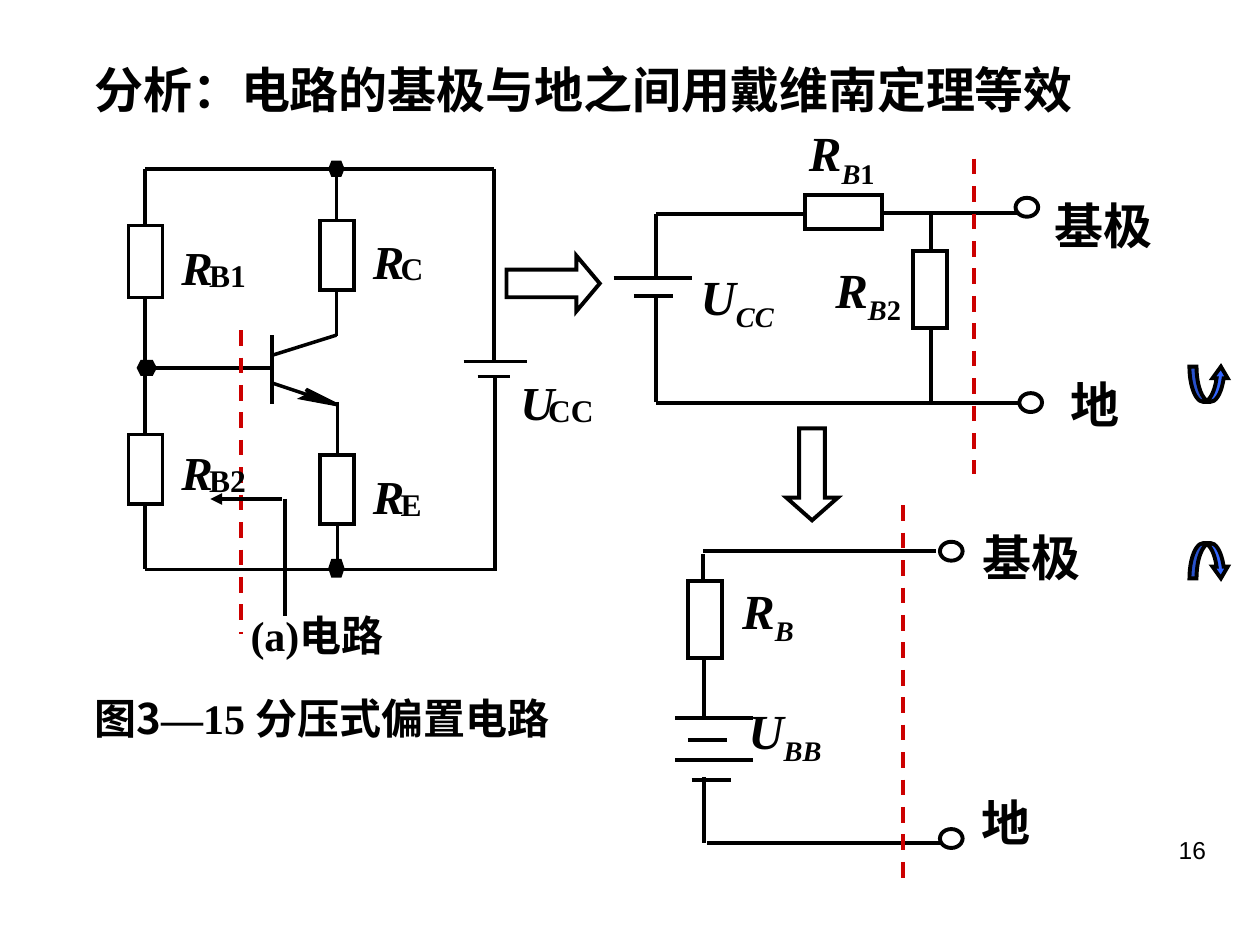
from lxml.etree import SubElement
from pptx import Presentation
from pptx.dml.color import RGBColor
from pptx.enum.dml import MSO_LINE
from pptx.enum.shapes import MSO_CONNECTOR, MSO_SHAPE as Preset
from pptx.enum.text import MSO_ANCHOR, PP_ALIGN
from pptx.oxml.ns import qn
from pptx.util import Cm, Pt

COLORS = {"ink": "000000", "paper": "FFFFFF", "cut": "CC0000", "turn": "3366FF"}
SERIF, SANS, LATIN = "Times New Roman", "Noto Sans CJK SC", "Arial"
THIN, THICK = 2, 2.25

# Wires: x1, y1, x2, y2 in inches
BIAS_WIRES = [
    (2.68, 3.19, 2.68, 4.52), (2.67, 1.34, 2.67, 2.67), (2.15, 2.92, 1.15, 2.92),
    (3.92, 1.34, 1.15, 1.34), (3.92, 4.52, 1.15, 4.52), (1.15, 1.34, 1.15, 4.52),
    (2.16, 2.66, 2.16, 3.21), (2.16, 2.82, 2.67, 2.66), (2.16, 3.04, 2.67, 3.21),
    (3.92, 1.34, 3.92, 2.86), (3.79, 2.99, 4.05, 2.99), (3.68, 2.87, 4.18, 2.87),
    (3.93, 2.99, 3.93, 4.53),
]
DIVIDER_WIRES = [
    (4.87, 2.21, 5.49, 2.21), (5.03, 2.35, 5.34, 2.35), (5.21, 1.7, 6.39, 1.7),
    (5.21, 1.7, 5.21, 2.22), (6.98, 1.69, 8.09, 1.69), (5.21, 2.35, 5.21, 3.19),
    (5.21, 3.2, 8.11, 3.2), (7.39, 1.7, 7.39, 1.98), (7.39, 2.6, 7.39, 3.19),
]
THEVENIN_WIRES = [
    (5.36, 5.7, 5.98, 5.7), (5.36, 6.03, 5.98, 6.03), (5.46, 5.87, 5.77, 5.87),
    (5.49, 6.19, 5.8, 6.19), (5.59, 5.2, 5.59, 5.71), (5.59, 6.17, 5.59, 6.69),
    (5.58, 4.4, 5.58, 4.6), (5.58, 4.37, 7.43, 4.37), (5.61, 6.69, 7.46, 6.69),
]
CUT_LINES = [(1.91, 2.62, 1.91, 5.03), (7.73, 1.26, 7.73, 3.76), (7.17, 4.01, 7.17, 7.02)]
POINTER = [(2.26, 3.96, 2.26, 4.89), (2.24, 3.96, 1.67, 3.96)]

# Resistors: left, top, width, height
BIAS_RESISTORS = [(1.02, 1.79, 0.27, 0.57), (2.54, 1.75, 0.27, 0.55),
                  (2.54, 3.61, 0.27, 0.55), (1.02, 3.45, 0.27, 0.55)]
EQUIVALENT_RESISTORS = [(6.39, 1.55, 0.61, 0.27), (7.25, 1.99, 0.27, 0.61),
                        (5.46, 4.61, 0.27, 0.61)]
TERMINALS = [(8.06, 1.57), (8.09, 3.12), (7.46, 4.3), (7.46, 6.58)]
# Junctions: left, top, width, height
JUNCTIONS = [(2.62, 1.29, 0.1, 0.1), (1.1, 2.87, 0.13, 0.1), (2.62, 4.45, 0.1, 0.12)]
EMITTER_TIP = [(2.4, 3.16), (2.46, 3.13), (2.43, 3.09), (2.67, 3.21)]
ARROWS = [
    (Preset.CURVED_DOWN_ARROW, (9.44, 4.31, 0.31, 0.28), (0.2, 0.43, 0.33), "turn"),
    (Preset.CURVED_UP_ARROW, (9.44, 2.91, 0.31, 0.28), (0.2, 0.43, 0.33), "turn"),
    (Preset.RIGHT_ARROW, (4.02, 2.03, 0.74, 0.44), (0.5, 0.42), "paper"),
    (Preset.DOWN_ARROW, (6.24, 3.4, 0.41, 0.73), (0.5, 0.44), "paper"),
]

# Labels: symbol, subscript, left, top
BIAS_LABELS = [("R", "B1", 1.44, 1.89), ("U", "CC", 4.13, 2.96), ("R", "C", 2.96, 1.84),
               ("R", "E", 2.96, 3.71), ("R", "B2", 1.44, 3.52)]
# Labels: symbol, italic subscript, upright subscript, left, top
EQUIVALENT_LABELS = [
    ("R", "B", "2", 6.61, 1.95), ("U", "CC", "", 5.54, 2.01), ("R", "B", "1", 6.4, 0.87),
    ("R", "B", "", 5.87, 4.5), ("U", "BB", "", 5.92, 5.45),
    ("基极", "", "", 8.35, 1.46), ("地", "", "", 8.48, 2.88),
    ("基极", "", "", 7.78, 4.09), ("地", "", "", 7.77, 6.2),
]

deck = Presentation()
deck.slide_width, deck.slide_height = Cm(25.4), Cm(19.05)
slide = deck.slides.add_slide(deck.slide_layouts[6])
shapes = slide.shapes


def inches(*values):
    return [Cm(value * 2.54) for value in values]


def color(key):
    return RGBColor.from_string(COLORS[key])


def wire(ends, width, ink="ink", dash=None, head=False):
    line = shapes.add_connector(MSO_CONNECTOR.STRAIGHT, *inches(*ends))
    line.line.color.rgb = color(ink)
    line.line.width = Pt(width)
    if dash:
        line.line.dash_style = dash
    if head:
        SubElement(line.line._get_or_add_ln(), qn("a:tailEnd"), type="triangle")
    SubElement(line._element.spPr, qn("a:effectLst"))


def paint(part, fill, width):
    part.shadow.inherit = False
    part.fill.solid()
    part.fill.fore_color.rgb = color(fill)
    part.line.color.rgb = color("ink")
    part.line.width = Pt(width)
    SubElement(part.line._get_or_add_ln(), qn("a:miter"), lim="800000")


def preset(kind, box, fill="paper", width=THICK, adjust=()):
    part = shapes.add_shape(kind, *inches(*box))
    for i, value in enumerate(adjust):
        part.adjustments[i] = value
    paint(part, fill, width)


def outline(points):
    start, *rest = [tuple(inches(*point)) for point in points]
    builder = shapes.build_freeform(*start)
    builder.add_line_segments(rest, close=True)
    paint(builder.convert_to_shape(), "ink", THIN)


def text(box, runs, pad=(0, 0), align=PP_ALIGN.LEFT, spacing=None):
    """runs holds (text, size, font, further font values, baseline shift)."""
    frame = shapes.add_textbox(*inches(*box)).text_frame
    side, top = inches(*pad)
    layout = {"margin_left": side, "margin_right": side, "margin_top": top,
              "margin_bottom": top, "word_wrap": True, "vertical_anchor": MSO_ANCHOR.TOP}
    for key, value in layout.items():
        setattr(frame, key, value)
    line = frame.paragraphs[0]
    line.alignment, line.line_spacing = align, spacing
    for words, size, face, extra, shift in runs:
        run = line.add_run()
        run.text = words
        for key, value in ({"size": Pt(size), "name": face, "bold": True} | extra).items():
            setattr(run.font, key, value)
        run.font.color.rgb = color("ink")
        props = run._r.get_or_add_rPr()
        SubElement(props, qn("a:ea"), typeface=SANS)
        if shift:
            props.set("baseline", str(shift * 1000))


# Circuits
for ends in BIAS_WIRES:
    wire(ends, THIN)
for ends in DIVIDER_WIRES + THEVENIN_WIRES:
    wire(ends, THICK)
for box in BIAS_RESISTORS:
    preset(Preset.RECTANGLE, box, width=THIN)
for box in EQUIVALENT_RESISTORS:
    preset(Preset.RECTANGLE, box)
for left, top in TERMINALS:
    preset(Preset.OVAL, (left, top, 0.18, 0.15))
for left, top, width, height in JUNCTIONS:
    hexagon = [(0, 0.5), (0.2, 0), (0.8, 0), (1, 0.5), (0.8, 1), (0.2, 1)]
    outline([(left + x * width, top + y * height) for x, y in hexagon])
outline(EMITTER_TIP)

# Cut lines and arrows
for ends in CUT_LINES:
    wire(ends, THICK, "cut", MSO_LINE.DASH)
for ends, head in zip(POINTER, (False, True)):
    wire(ends, THICK, head=head)
for kind, box, adjust, fill in ARROWS:
    preset(kind, box, fill, adjust=adjust)

# Symbols
for symbol, subscript, left, top in BIAS_LABELS:
    text((left, top, 0.35, 0.45), [(symbol, 27, SERIF, {"italic": True}, 0)])
    text((left + 0.22, top + 0.14, 0.5, 0.3), [(subscript, 18, SERIF, {}, 0)])
for symbol, slanted, upright, left, top in EQUIVALENT_LABELS:
    parts = [(symbol, symbol.isascii(), 0), (slanted, True, -25), (upright, False, -25)]
    text((left, top, 0.96, 0.77),
         [(words, 28, SERIF, {"italic": italic}, shift) for words, italic, shift in parts if words],
         pad=(0.02, 0), spacing=1.2)

# Title, captions and page number
PAD = (0.1, 0.05)
text((0.65, 0.42, 8.3, 0.57),
     [("分析：电路的基极与地之间用戴维南定理等效", 28, SANS, {}, 0)], PAD)
text((1.89, 4.79, 1.6, 0.5), [("(a)电路", 24, SERIF, {}, 0)], PAD)
text((0.65, 5.45, 3.99, 0.5),
     [("图3", 24, SANS, {}, 0), ("―15 ", 24, SERIF, {}, 0),
      ("分压式偏置电路", 24, SANS, {}, 0)], PAD)
text((7.17, 6.58, 2.5, 0.52), [("16", 14, LATIN, {"bold": False}, 0)], PAD,
     align=PP_ALIGN.RIGHT)

deck.save("out.pptx")
